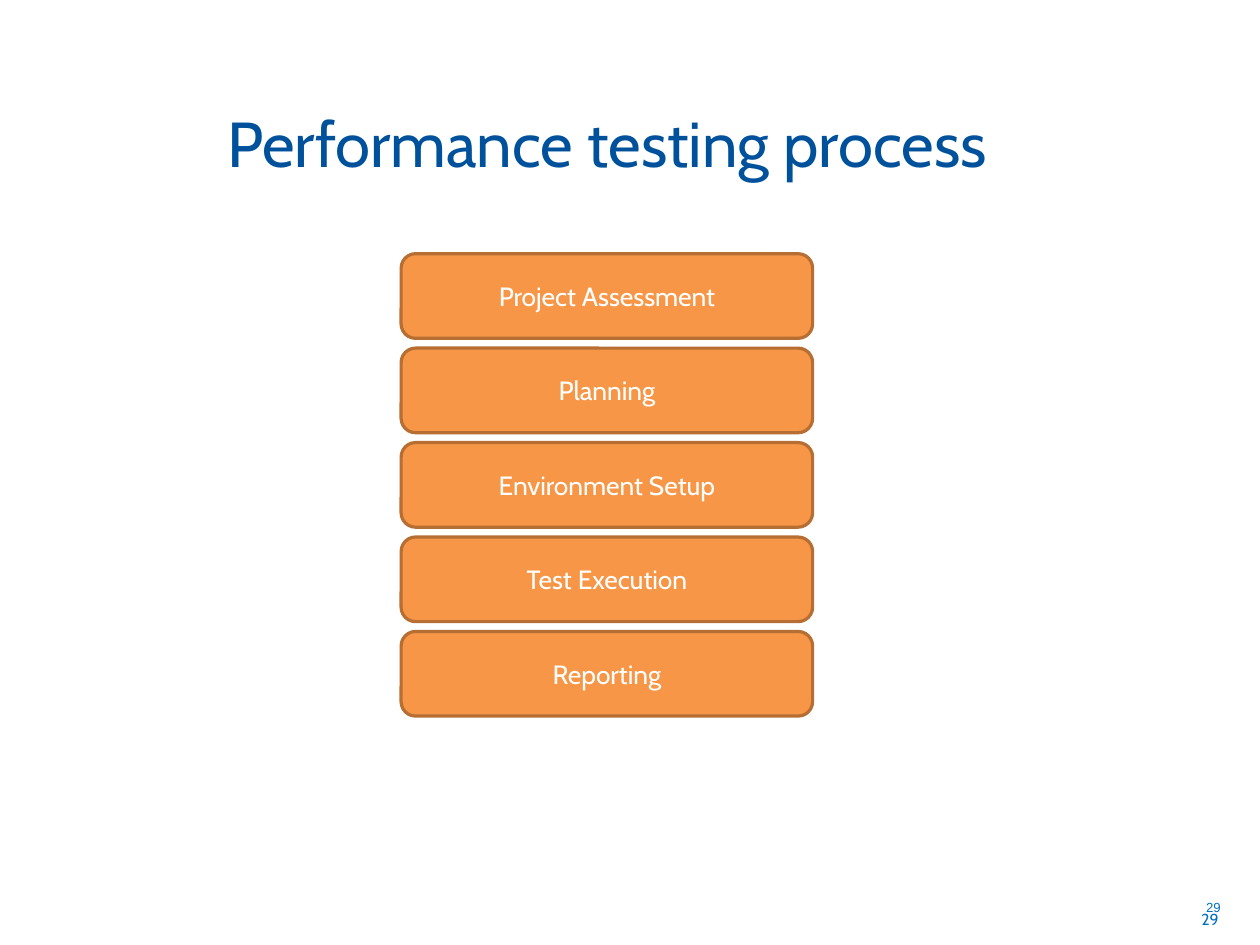
from pptx import Presentation
from pptx.dml.color import RGBColor
from pptx.enum.shapes import MSO_SHAPE
from pptx.enum.text import MSO_ANCHOR, PP_ALIGN
from pptx.util import Cm, Inches, Pt

COLORS = {
    "background": "FFFFFF",
    "title": "00519C",
    "number": "0070C0",
    "step": "F79646",
    "step_border": "B66E33",
    "step_text": "FFFFFF",
}
SLIDE_WIDTH, SLIDE_HEIGHT = Cm(28), Cm(21)
GRID = Inches(0.1)
STEPS = ["Project Assessment", "Planning", "Environment Setup", "Test Execution", "Reporting"]
STEP_HEIGHT = 7.4


def color(name):
    return RGBColor.from_string(COLORS[name])


def on_grid(box):
    return [round(cells * GRID) for cells in box]


def write(holder, wording, size, font, color_name, align, anchor, inset):
    frame = holder.text_frame
    frame.word_wrap = True
    frame.vertical_anchor = anchor
    frame.margin_left = frame.margin_right = Inches(inset)
    frame.margin_top = frame.margin_bottom = Inches(inset / 2)
    frame.text = wording
    paragraph = frame.paragraphs[0]
    paragraph.alignment = align
    style = paragraph.runs[0].font
    style.name = font
    style.size = Pt(size)
    style.color.rgb = color(color_name)


def add_page_number(slide, box, size, font, inset):
    number = slide.shapes.add_textbox(*on_grid(box))
    write(number, "29", size, font, "number", PP_ALIGN.RIGHT, MSO_ANCHOR.MIDDLE, inset)


def add_title(slide, box):
    title = slide.shapes.add_textbox(*on_grid(box))
    write(title, "Performance testing process", 40, "Cabin", "title",
          PP_ALIGN.CENTER, MSO_ANCHOR.BOTTOM, 0.1)


def add_process(slide, box):
    left, top, width, height = box
    pitch = (height - STEP_HEIGHT) / (len(STEPS) - 1)
    for index, wording in enumerate(STEPS):
        step_box = (left, top + index * pitch, width, STEP_HEIGHT)
        step = slide.shapes.add_shape(MSO_SHAPE.ROUNDED_RECTANGLE, *on_grid(step_box))
        step.shadow.inherit = False
        step.adjustments[0] = 0.17
        step.fill.solid()
        step.fill.fore_color.rgb = color("step")
        step.line.color.rgb = color("step_border")
        step.line.width = Pt(2)
        write(step, wording, 16.6, "Cabin", "step_text",
              PP_ALIGN.CENTER, MSO_ANCHOR.MIDDLE, 0.1)


def main():
    deck = Presentation()
    deck.slide_width, deck.slide_height = SLIDE_WIDTH, SLIDE_HEIGHT
    slide = deck.slides.add_slide(deck.slide_layouts[6])
    slide.background.fill.solid()
    slide.background.fill.fore_color.rgb = color("background")
    add_page_number(slide, (81.9, 78.25, 25.7, 4.4), 10, "Cabin", 0.1)
    add_page_number(slide, (81.9, 77.15, 25.7, 4.4), 8.3, "Arial", 0.08)
    add_title(slide, (2.1, 5.9, 102, 10.4))
    add_process(slide, (35.1, 22.2, 36, 40.45))
    deck.save("out.pptx")


if __name__ == "__main__":
    main()
